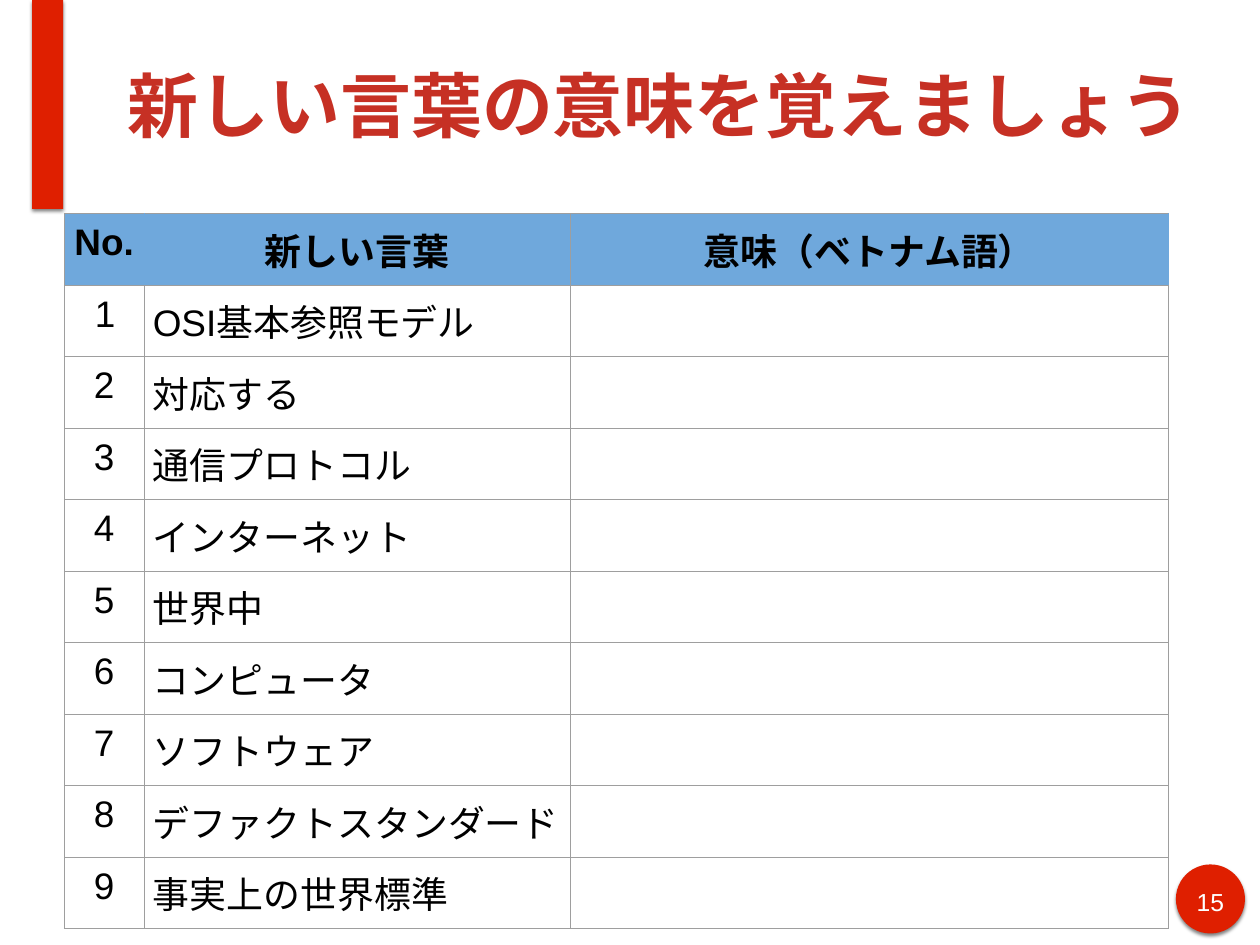
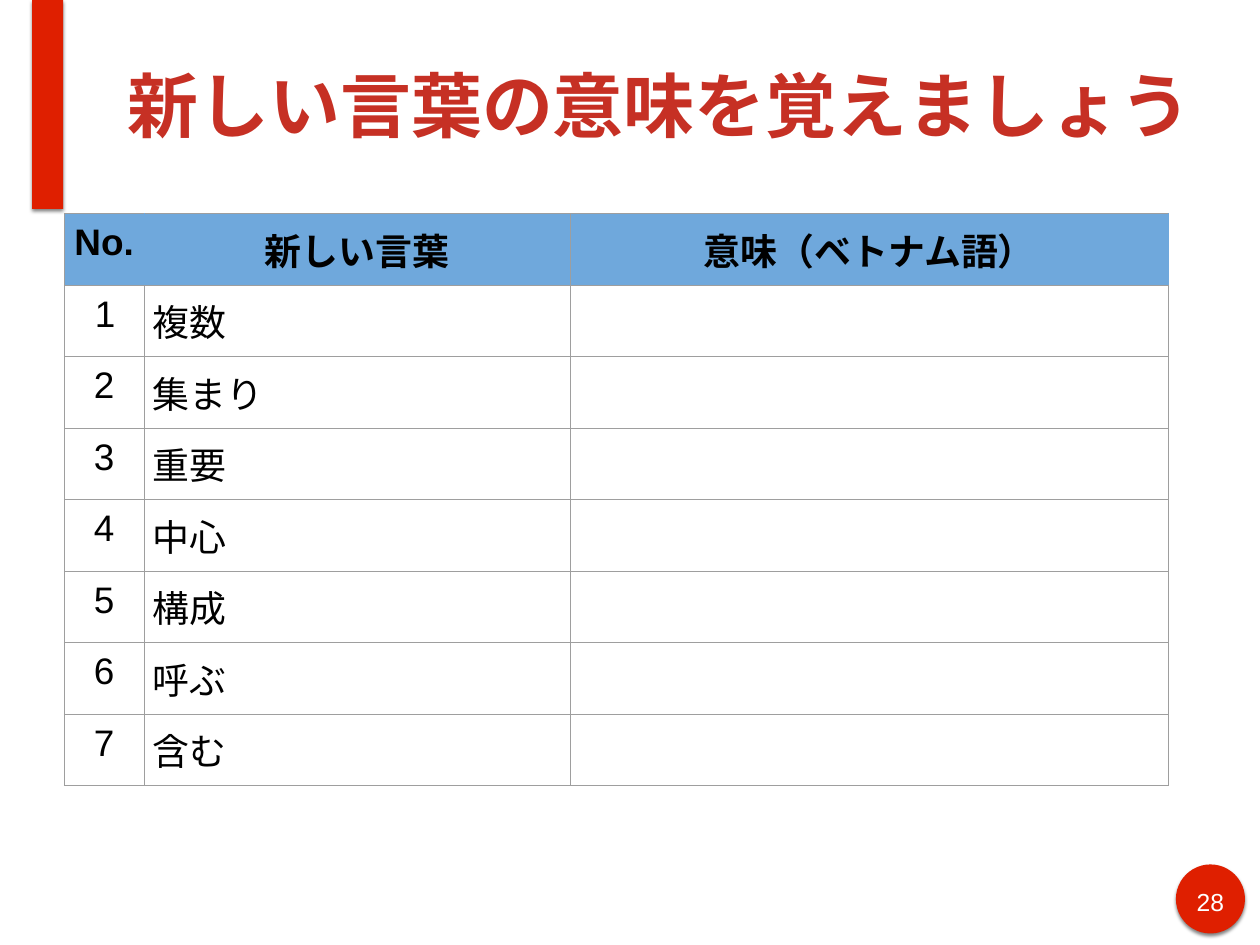
from lxml import etree
from pptx import Presentation
from pptx.dml.color import RGBColor
from pptx.enum.lang import MSO_LANGUAGE_ID
from pptx.enum.shapes import MSO_SHAPE
from pptx.enum.text import MSO_ANCHOR, PP_ALIGN
from pptx.oxml import parse_xml
from pptx.oxml.ns import nsdecls, qn
from pptx.util import Cm, Pt

RED = RGBColor(0xDF, 0x1F, 0x00)
TITLE_RED = RGBColor(0xC6, 0x30, 0x24)
HEADER_BLUE = RGBColor(0x6F, 0xA8, 0xDC)
GRID_GRAY = RGBColor(0x9E, 0x9E, 0x9E)
BLACK = RGBColor(0x00, 0x00, 0x00)
WHITE = RGBColor(0xFF, 0xFF, 0xFF)

RECTANGLE, OVAL = MSO_SHAPE.RECTANGLE, MSO_SHAPE.OVAL
LEFT, CENTER = PP_ALIGN.LEFT, PP_ALIGN.CENTER
TOP, MIDDLE = MSO_ANCHOR.TOP, MSO_ANCHOR.MIDDLE
JAPANESE = MSO_LANGUAGE_ID.JAPANESE

FONT = "Arial"
BOX_INSET = Cm(0.15)
CELL_INSET = Cm(0.25)
WORD_TOP_INSET = Cm(0.53)
ROW_HEIGHT = Cm(2.04)
COLUMN_WIDTHS = (Cm(2.29), Cm(12.22), Cm(17.14))
EDGES = ("lnL", "lnR", "lnT", "lnB")
HEADER_BLUE_EDGES = (("lnR",), ("lnL",), ("lnR",))

TITLE = "新しい言葉の意味を覚えましょう"
HEADINGS = ("No.", "新しい言葉", "意味（ベトナム語）")
LESSONS = (
    (15, ("OSI基本参照モデル", "対応する", "通信プロトコル", "インターネット", "世界中",
          "コンピュータ", "ソフトウェア", "デファクトスタンダード", "事実上の世界標準")),
    (28, ("複数", "集まり", "重要", "中心", "構成", "呼ぶ", "含む")),
)


def apply(target, formats):
    for attribute, value in formats.items():
        setattr(target, attribute, value)


def write(frame, text, size, color, align=LEFT, bold=False):
    paragraph = frame.paragraphs[0]
    paragraph.alignment = align
    run = paragraph.add_run()
    run.text = text
    apply(run.font, {"name": FONT, "size": Pt(size), "bold": bold, "language_id": JAPANESE})
    run.font.color.rgb = color
    etree.SubElement(run.font._element, qn("a:ea"), typeface=FONT)
    return paragraph


def add_text(slide, text, box, anchor, **style):
    frame = slide.shapes.add_textbox(*map(Cm, box)).text_frame
    apply(frame, {"word_wrap": True, "vertical_anchor": anchor,
                  "margin_left": BOX_INSET, "margin_right": BOX_INSET,
                  "margin_top": BOX_INSET, "margin_bottom": BOX_INSET})
    write(frame, text, **style)


def add_red_accent(slide, preset, box):
    accent = slide.shapes.add_shape(preset, *map(Cm, box))
    accent.fill.solid()
    accent.fill.fore_color.rgb = RED
    accent.line.fill.background()
    accent._element.spPr.append(parse_xml(
        f'<a:effectLst {nsdecls("a")}>'
        '<a:outerShdw blurRad="38100" dist="25400" dir="5400000" rotWithShape="0">'
        '<a:srgbClr val="000000"><a:alpha val="50000"/></a:srgbClr>'
        '</a:outerShdw></a:effectLst>'))


def add_frame(slide, page):
    add_red_accent(slide, OVAL, (33.71, 24.79, 1.98, 1.98))
    add_red_accent(slide, RECTANGLE, (0.92, 0, 0.89, 5.99))
    add_text(slide, str(page), (34.08, 25.27, 1.24, 0.99), TOP,
             size=20, color=WHITE, align=CENTER)
    add_text(slide, TITLE, (3.51, 0.3, 30.84, 5.38), MIDDLE,
             size=57.6, color=TITLE_RED, bold=True)


def draw_borders(cell, blue_edges):
    properties = cell._tc.get_or_add_tcPr()
    for edge in EDGES:
        line = etree.SubElement(properties, qn(f"a:{edge}"), w=str(Pt(0.75)))
        paint = etree.SubElement(line, qn("a:solidFill"))
        color = HEADER_BLUE if edge in blue_edges else GRID_GRAY
        etree.SubElement(paint, qn("a:srgbClr"), val=str(color))


def fill_cell(cell, text, align, header, top_inset, blue_edges):
    apply(cell, {"margin_left": CELL_INSET, "margin_right": CELL_INSET,
                 "margin_top": top_inset, "margin_bottom": CELL_INSET})
    draw_borders(cell, blue_edges)
    if header:
        cell.fill.solid()
        cell.fill.fore_color.rgb = HEADER_BLUE
    else:
        cell.fill.background()
    if text:
        return write(cell.text_frame, text, 30, BLACK, align, header)


def add_vocabulary(slide, words):
    rows = [HEADINGS] + [(str(number), word, "") for number, word in enumerate(words, 1)]
    table = slide.shapes.add_table(
        len(rows), len(HEADINGS), Cm(1.84), Cm(6.12),
        sum(COLUMN_WIDTHS), ROW_HEIGHT * len(rows)).table
    apply(table, {"first_row": False, "horz_banding": False})
    for column, width in zip(table.columns, COLUMN_WIDTHS):
        column.width = width
    for table_row in table.rows:
        table_row.height = ROW_HEIGHT
    for row, texts in enumerate(rows):
        header = row == 0
        for column, text in enumerate(texts):
            indented = (row, column) == (1, 0)
            centered = header or (column == 0 and not indented)
            paragraph = fill_cell(table.cell(row, column), text,
                                  CENTER if centered else LEFT, header,
                                  WORD_TOP_INSET if column and text else CELL_INSET,
                                  HEADER_BLUE_EDGES[column] if header else ())
            if indented:
                indent = paragraph._p.get_or_add_pPr()
                indent.set("marL", str(Cm(1.27)))
                indent.set("indent", str(-Cm(0.64)))


def main():
    deck = Presentation()
    apply(deck, {"slide_width": Cm(36.12), "slide_height": Cm(27.1)})
    for page, words in LESSONS:
        slide = deck.slides.add_slide(deck.slide_layouts[6])
        add_frame(slide, page)
        add_vocabulary(slide, words)
    deck.save("out.pptx")


if __name__ == "__main__":
    main()
